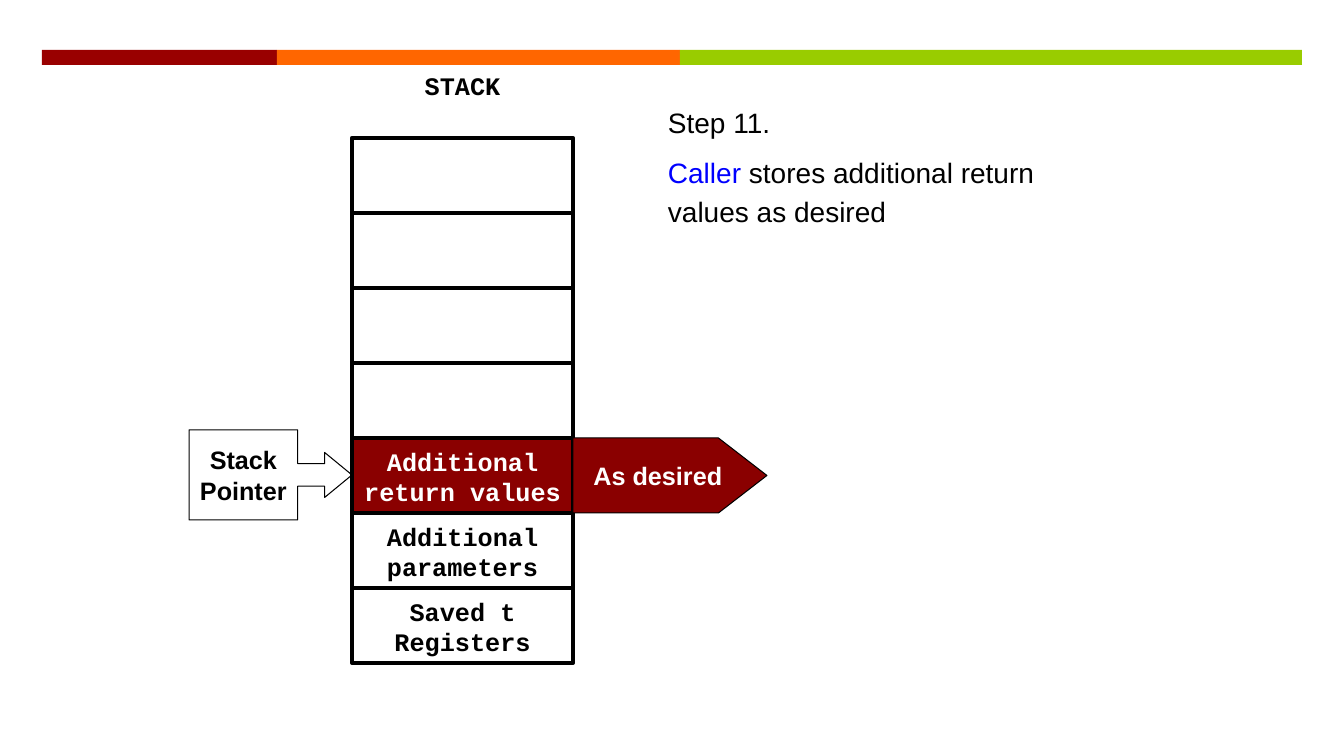
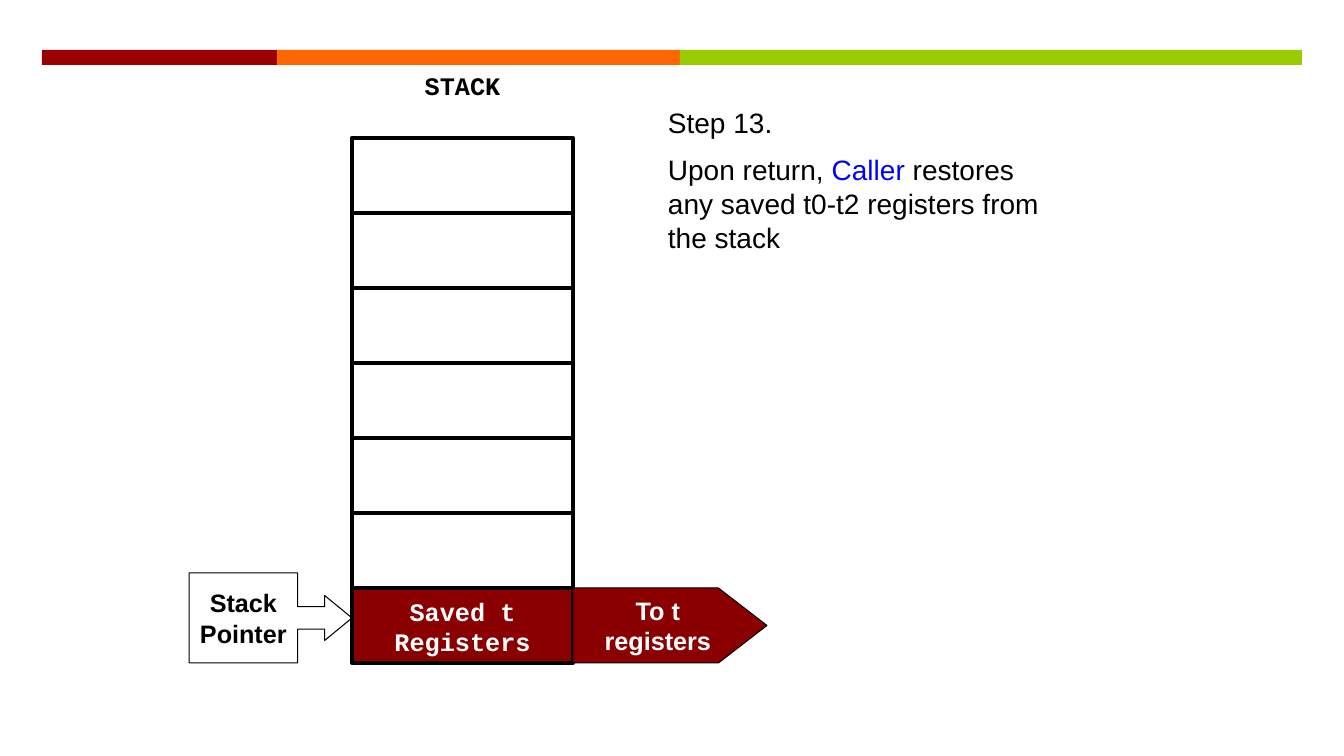
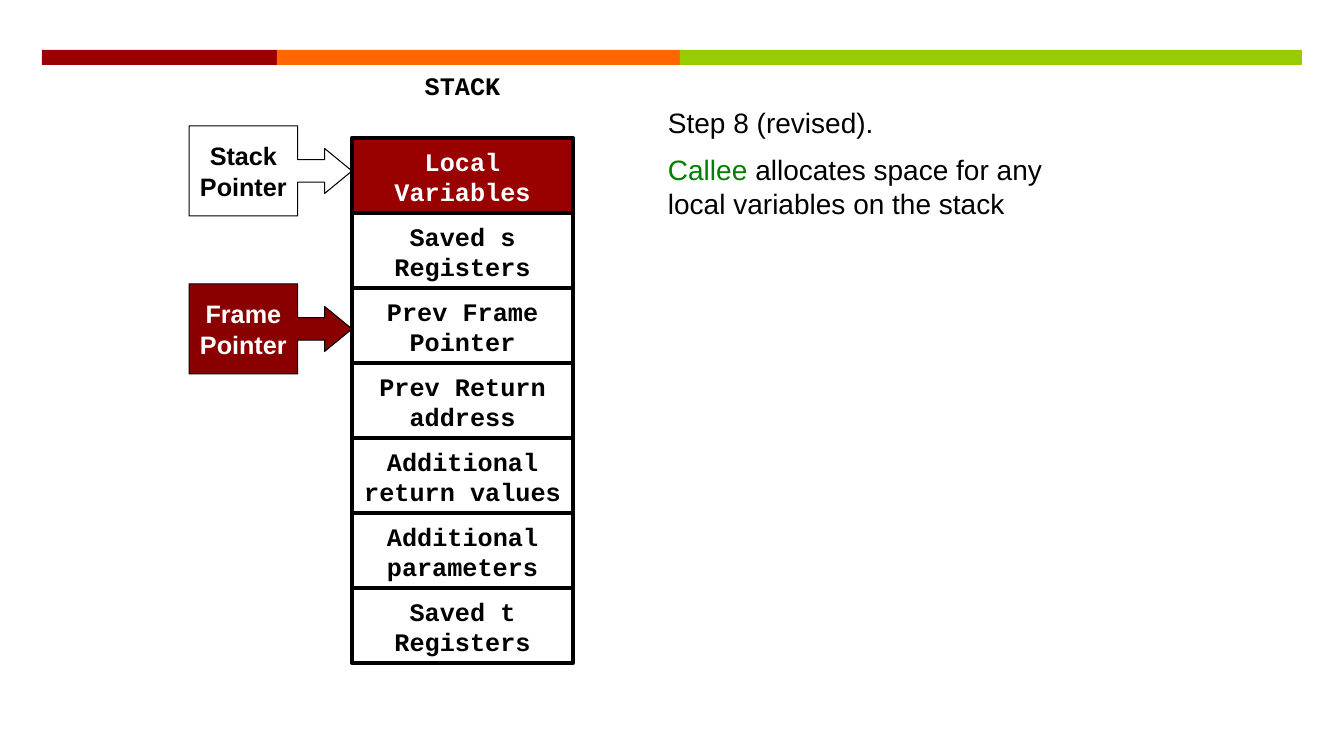
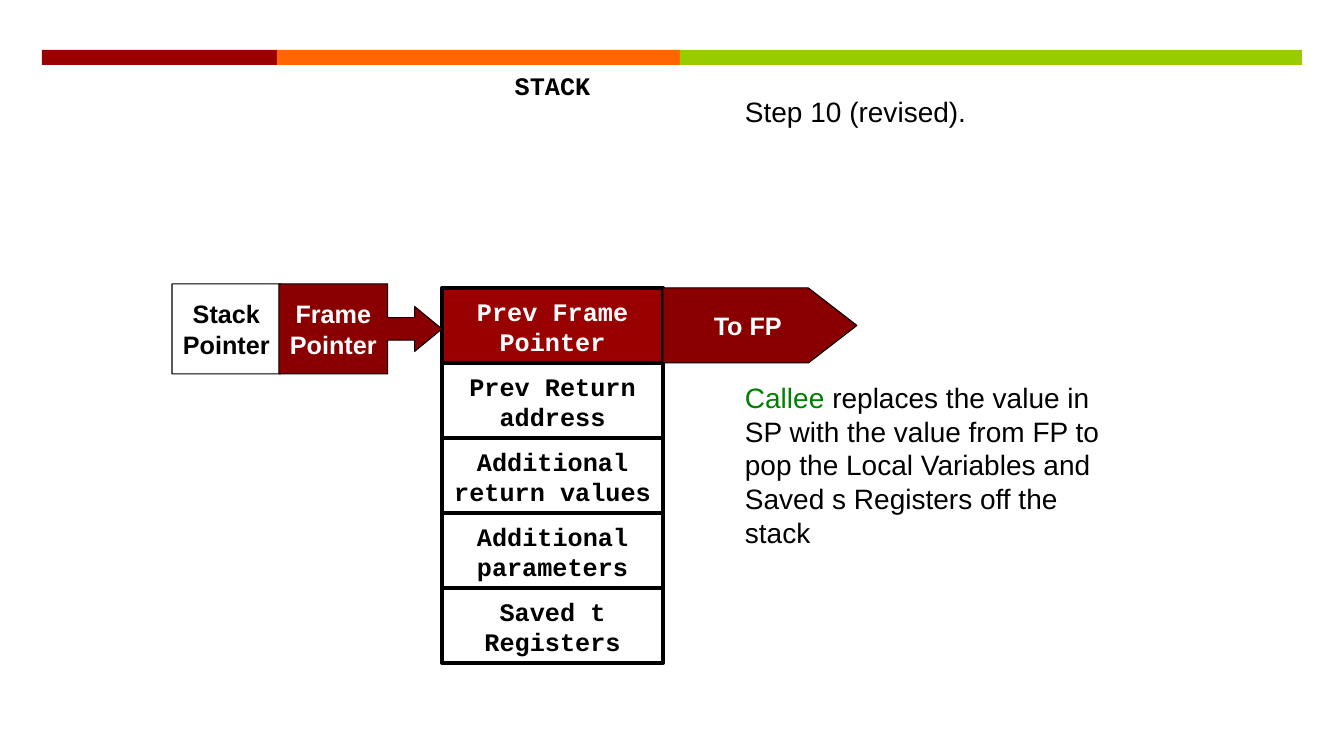
import pptx
import pptx.dml.color
import pptx.enum.shapes
import pptx.enum.text
import pptx.util

SCALE = 914400 / 100.8  # EMU in one px
BLACK, WHITE, BLUE, GREEN = "000000", "FFFFFF", "0000FF", "008000"
RED, DARK_RED = "990000", "8A0000"
BANDS = [(42, 235, RED), (277, 403, "FF6600"), (680, 622, "99CC00")]

CELL_TOP, CELL_WIDTH, CELL_HEIGHT = 138, 221, 75
CALLOUT_ADJUSTMENTS = (0.25, 0.25, 0.304, 0.667)
ROW_COUNT = 7
KINDS = pptx.enum.shapes.MSO_SHAPE


def rgb(color):
    return pptx.dml.color.RGBColor.from_string(color)


def add_box(slide, kind, box, fill=None, line_width=0, text="", font="Arial", adjustments=()):
    """Add a preset shape, or a text box when kind is None, with bold centred text."""
    lengths = [round(length * SCALE) for length in box]
    if kind is None:
        shape = slide.shapes.add_textbox(*lengths)
    else:
        shape = slide.shapes.add_shape(kind, *lengths)
        shape.shadow.inherit = False
    for index, value in enumerate(adjustments):
        shape.adjustments[index] = value
    if fill:
        shape.fill.solid()
        shape.fill.fore_color.rgb = rgb(fill)
    else:
        shape.fill.background()
    if line_width:
        shape.line.color.rgb = rgb(BLACK)
        shape.line.width = pptx.util.Pt(line_width)
    else:
        shape.line.fill.background()
    frame = shape.text_frame
    if text:
        frame.text = text
    # Stack text wraps from the top; labels on arrows stay on the middle
    in_stack = font == "Courier New"
    frame.word_wrap = in_stack
    anchors = pptx.enum.text.MSO_ANCHOR
    frame.vertical_anchor = anchors.TOP if in_stack else anchors.MIDDLE
    if in_stack:
        frame.margin_top = round(8 * SCALE)
    for paragraph in frame.paragraphs:
        paragraph.alignment = pptx.enum.text.PP_ALIGN.CENTER
        paragraph.line_spacing = pptx.util.Pt(21.6)
        paragraph.font.name = font
        paragraph.font.size = pptx.util.Pt(18)
        paragraph.font.bold = True
        paragraph.font.color.rgb = rgb(WHITE if fill in (RED, DARK_RED) else BLACK)
    return shape


# Content: cells are listed from the bottom of the stack upwards
SAVED_T, PARAMETERS, RETURN_VALUES = "Saved t Registers", "Additional parameters", "Additional return values"
RETURN_ADDRESS, FRAME = "Prev Return address", "Prev Frame Pointer"
STACK_POINTER, FRAME_POINTER = "Stack\nPointer", "Frame\nPointer"

steps = [
    dict(title="Step 11.",
         body=[("Caller", BLUE), (" stores additional return values as desired", BLACK)],
         body_before=7.5, body_spacing=28,
         cells=[SAVED_T, PARAMETERS, RETURN_VALUES], highlight=DARK_RED,
         callouts=[(STACK_POINTER, 189, 430, None)], output="As desired"),
    dict(title="Step 13.",
         body=[("Upon return, ", BLACK), ("Caller", BLUE),
               (" restores any saved t0-t2 registers from the stack", BLACK)],
         cells=[SAVED_T], highlight=DARK_RED,
         callouts=[(STACK_POINTER, 189, 573, None)], output="To t\nregisters"),
    dict(title="Step 8 (revised).",
         body=[("Callee ", GREEN), ("allocates space for any local variables on the stack", BLACK)],
         cells=[SAVED_T, PARAMETERS, RETURN_VALUES, RETURN_ADDRESS, FRAME,
                "Saved s Registers", "Local Variables"], highlight=RED,
         callouts=[(STACK_POINTER, 189, 126, None), (FRAME_POINTER, 189, 284, DARK_RED)]),
    dict(title="Step 10 (revised).",
         body=[("Callee ", GREEN),
               ("replaces the value in SP with the value from FP to pop the "
                "Local Variables and Saved s Registers off the stack", BLACK)],
         body_before=180, note_at=(735, 90), stack_left=442, rows=5,
         cells=[SAVED_T, PARAMETERS, RETURN_VALUES, RETURN_ADDRESS, FRAME], highlight=RED,
         callouts=[(STACK_POINTER, 172, 284, None), (FRAME_POINTER, 279, 284, DARK_RED)],
         output="To FP"),
]

presentation = pptx.Presentation()
presentation.slide_width = round(1344 * SCALE)
presentation.slide_height = round(756 * SCALE)
layout = presentation.slide_layouts[6]
for placeholder in list(layout.placeholders):
    layout.shapes.element.remove(placeholder.element)
slides = [presentation.slides.add_slide(layout) for step in steps]

# Colour bands, moved to the layout that all slides share
for left, width, color in BANDS:
    band = add_box(slides[0], KINDS.RECTANGLE, (left, 50, width, 15), color)
    layout.shapes.element.append(band.element)

for slide, step in zip(slides, steps):
    # Explanation
    left, top = step.get("note_at", (658, 101))
    note = slide.shapes.add_textbox(*[round(length * SCALE) for length in (left, top, 401, 140)])
    note.text_frame.word_wrap = True
    title = note.text_frame.paragraphs[0]
    title.text = step["title"]
    body = note.text_frame.add_paragraph()
    body.space_before = pptx.util.Pt(step.get("body_before", 9.5))
    for text, color in step["body"]:
        run = body.add_run()
        run.text = text
        run.font.color.rgb = rgb(color)
    for paragraph, spacing in ((title, 24), (body, step.get("body_spacing", 24))):
        paragraph.line_spacing = pptx.util.Pt(spacing)
        paragraph.font.name = "Arial"
        paragraph.font.size = pptx.util.Pt(20)
    title.font.color.rgb = rgb(BLACK)

    # Stack: the topmost filled cell is highlighted
    stack_left = step.get("stack_left", 352)
    cells = step["cells"]
    add_box(slide, None, (stack_left, 62, CELL_WIDTH, CELL_HEIGHT), text="STACK", font="Courier New")
    for level in range(step.get("rows", ROW_COUNT)):
        cell_top = CELL_TOP + (ROW_COUNT - 1 - level) * CELL_HEIGHT
        add_box(slide, KINDS.RECTANGLE, (stack_left, cell_top, CELL_WIDTH, CELL_HEIGHT),
                step["highlight"] if level == len(cells) - 1 else None, 3,
                cells[level] if level < len(cells) else "", "Courier New")

    # Pointers into the stack
    for text, left, top, fill in step["callouts"]:
        add_box(slide, KINDS.RIGHT_ARROW_CALLOUT, (left, top, 163, 90), fill, 0.75, text,
                adjustments=CALLOUT_ADJUSTMENTS)

    # Destination of the highlighted cell
    if "output" in step:
        output_top = CELL_TOP + (ROW_COUNT - len(cells)) * CELL_HEIGHT
        add_box(slide, KINDS.PENTAGON, (stack_left + CELL_WIDTH, output_top, 194, CELL_HEIGHT),
                DARK_RED, 0.75, step["output"], adjustments=[0.647])

presentation.save("out.pptx")
